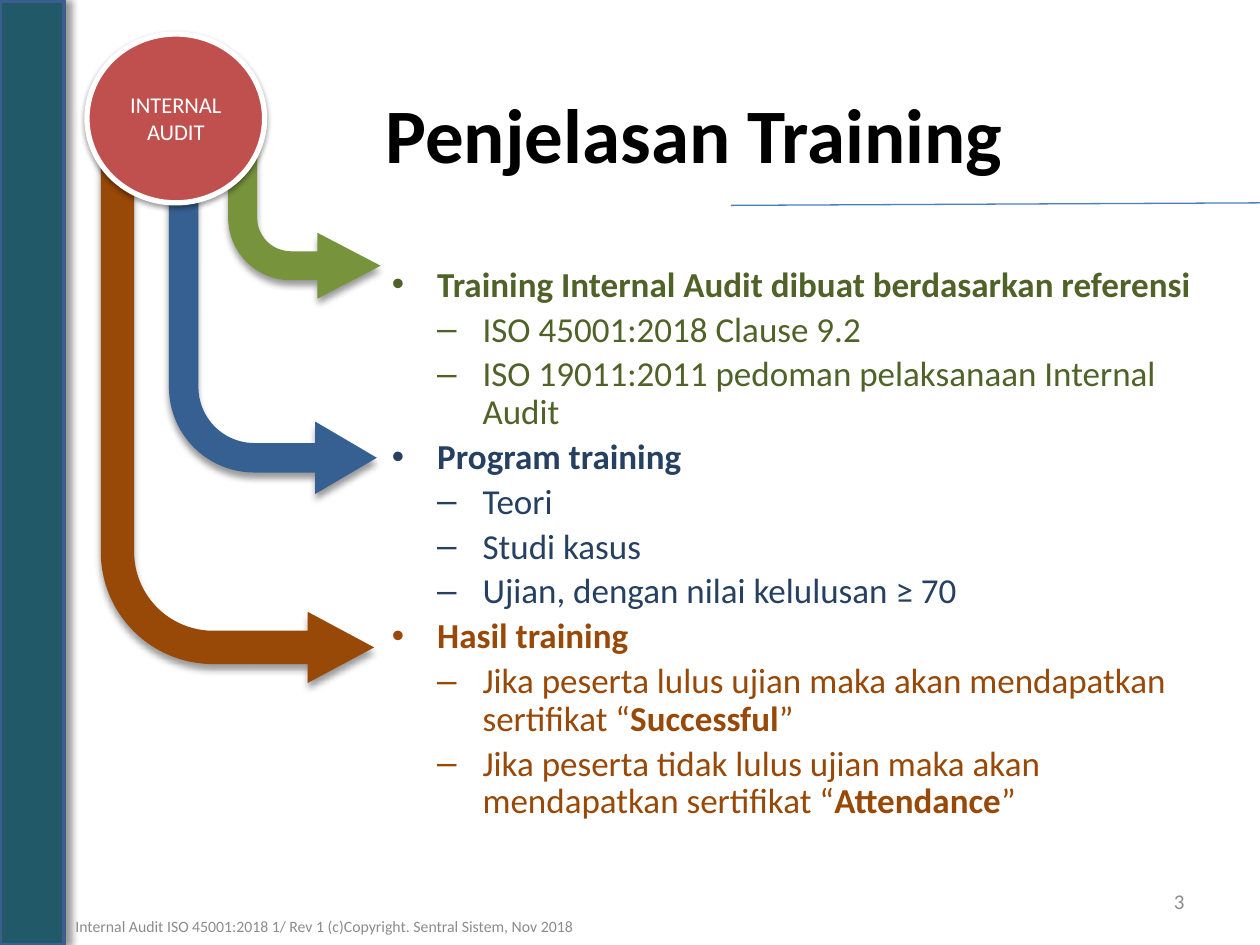
import pptx
import pptx.util
import pptx.dml.color
import pptx.enum.shapes
import pptx.enum.text
import pptx.oxml
import pptx.oxml.ns

RGBColor = pptx.dml.color.RGBColor
SHAPE = pptx.enum.shapes.MSO_SHAPE
ALIGN = pptx.enum.text.PP_ALIGN
MIDDLE = pptx.enum.text.MSO_ANCHOR.MIDDLE
Pt = pptx.util.Pt

BLACK = RGBColor(0x00, 0x00, 0x00)
WHITE = RGBColor(0xFF, 0xFF, 0xFF)
GREY = RGBColor(0x8C, 0x8C, 0x8C)
GREEN = RGBColor(0x77, 0x93, 0x3C)
DARK_GREEN = RGBColor(0x4F, 0x62, 0x28)
BLUE = RGBColor(0x37, 0x60, 0x92)
DARK_BLUE = RGBColor(0x25, 0x40, 0x61)
BROWN = RGBColor(0x98, 0x48, 0x07)
RED = RGBColor(0xC0, 0x50, 0x4D)
TEAL = RGBColor(0x21, 0x59, 0x68)
TEAL_EDGE = RGBColor(0x3A, 0x5F, 0x8C)
RULE = RGBColor(0x4B, 0x7E, 0xBC)

deck = pptx.Presentation()
deck.slide_width = pptx.util.Inches(10)
deck.slide_height = pptx.util.Inches(7.5)
column = deck.slide_width / 100
row = deck.slide_height / 75
page = deck.slides.add_slide(deck.slide_layouts[1])


def area(left, top, width, height):
    return [round(n * unit) for n, unit in zip((left, top, width, height), (column, row) * 2)]


def add_effects(shape, blur=0, distance=0, angle=0, alpha=0):
    shadow = (
        f'<a:outerShdw blurRad="{Pt(blur)}" dist="{Pt(distance)}" dir="{angle * 60000}" rotWithShape="0">'
        f'<a:srgbClr val="000000"><a:alpha val="{alpha * 1000}"/></a:srgbClr></a:outerShdw>'
    )
    shape._element.spPr.append(pptx.oxml.parse_xml(
        f'<a:effectLst {pptx.oxml.ns.nsdecls("a")}>{shadow if alpha else ""}</a:effectLst>'
    ))


arrows = [
    ((18.1, 7, 12.1, 16.7), (0.19, 0.216, 0.414, 0.411), GREEN),
    ((13.4, 2.9, 16.5, 36.3), (0.142, 0.174, 0.296, 0.411), BLUE),
    ((8, 7, 21.7, 47.2), (0.122, 0.13, 0.243, 0.411), BROWN),
]
for place, bends, color in arrows:
    arrow = page.shapes.add_shape(SHAPE.BENT_ARROW, *area(*place))
    for index, bend in enumerate(bends):
        arrow.adjustments[index] = bend
    arrow.rotation = 180
    arrow._element.spPr.xfrm.set("flipH", "1")
    arrow.fill.solid()
    arrow.fill.fore_color.rgb = color
    arrow.line.fill.background()
    add_effects(arrow, 4, 3, 90, 40)

panels = [
    (SHAPE.OVAL, (6.9, 2.7, 14.1, 13.4), RED, WHITE, 3, (3.1, 1.6, 90, 38)),
    (SHAPE.RECTANGLE, (0, 0.1, 5.1, 74.9), TEAL, TEAL_EDGE, 2, (4, 3, 0, 40)),
]
for kind, place, fill, edge, weight, shadow in panels:
    panel = page.shapes.add_shape(kind, *area(*place))
    panel.fill.solid()
    panel.fill.fore_color.rgb = fill
    panel.line.color.rgb = edge
    panel.line.width = Pt(weight)
    add_effects(panel, *shadow)
    if kind == SHAPE.OVAL:
        badge = panel

rule = page.shapes.add_connector(
    pptx.enum.shapes.MSO_CONNECTOR.STRAIGHT, *area(58, 16.3, 100, 16.1)
)
rule.line.color.rgb = RULE
rule.line.width = Pt(0.75)
add_effects(rule)

title = page.shapes.title
title.left, title.top, title.width, title.height = area(29.6, 4.8, 60.2, 11.5)
number = page.shapes.add_textbox(*area(71.7, 69.5, 23.3, 4))
footer = page.shapes.add_textbox(*area(5, 72, 60.8, 3))
labels = [
    (title, "Penjelasan Training", ALIGN.LEFT, {"size": Pt(44), "bold": True}, BLACK),
    (badge, "INTERNAL AUDIT", ALIGN.CENTER, {"size": Pt(12.9)}, WHITE),
    (number, "3", ALIGN.RIGHT, {"size": Pt(12)}, GREY),
    (footer, "Internal Audit ISO 45001:2018 1/ Rev 1 (c)Copyright. Sentral Sistem, Nov 2018",
     ALIGN.LEFT, {"size": Pt(9)}, GREY),
]
for box, text, alignment, formats, color in labels:
    box.text_frame.text = text
    box.text_frame.word_wrap = True
    box.text_frame.vertical_anchor = MIDDLE
    para = box.text_frame.paragraphs[0]
    para.alignment = alignment
    font = para.runs[0].font
    for name, value in {"name": "Calibri", **formats}.items():
        setattr(font, name, value)
    font.color.rgb = color

topics = [
    (DARK_GREEN, "Training Internal Audit dibuat berdasarkan referensi", [
        ["ISO 45001:2018 Clause 9.2"],
        ["ISO 19011:2011 pedoman pelaksanaan Internal Audit"],
    ]),
    (DARK_BLUE, "Program training", [
        ["Teori"],
        ["Studi kasus"],
        ["Ujian, dengan nilai kelulusan ≥ 70"],
    ]),
    (BROWN, "Hasil training", [
        ["Jika peserta lulus ujian maka akan mendapatkan sertifikat “", "Successful", "”"],
        ["Jika peserta tidak lulus ujian maka akan mendapatkan sertifikat “", "Attendance", "”"],
    ]),
]
body = page.placeholders[1]
body.left, body.top, body.width, body.height = area(22.8, 20.7, 74.8, 45.9)
frame = body.text_frame
frame.auto_size = pptx.enum.text.MSO_AUTO_SIZE.NONE
para = frame.paragraphs[0]
for color, heading, points in topics:
    for level, spans in [(0, [heading])] + [(1, point) for point in points]:
        first = para is not None
        para = para if first else frame.add_paragraph()
        para.level = level
        para.line_spacing = 0.9
        para.space_before = Pt(0 if first else 4)
        properties = para._p.get_or_add_pPr()
        properties.set("marL", str(round((10.9 + 3.6 * level) * column)))
        properties.set("indent", str(round(-3.6 * column)))
        properties.append(pptx.oxml.parse_xml(
            f'<a:buChar {pptx.oxml.ns.nsdecls("a")} char="{"•–"[level]}"/>'
        ))
        for index, text in enumerate(spans):
            span = para.add_run()
            span.text = text
            formats = {"name": "Calibri", "size": Pt(20), "bold": level == 0 or index == 1}
            for name, value in formats.items():
                setattr(span.font, name, value)
            span.font.color.rgb = color
        para = None

deck.save("out.pptx")
